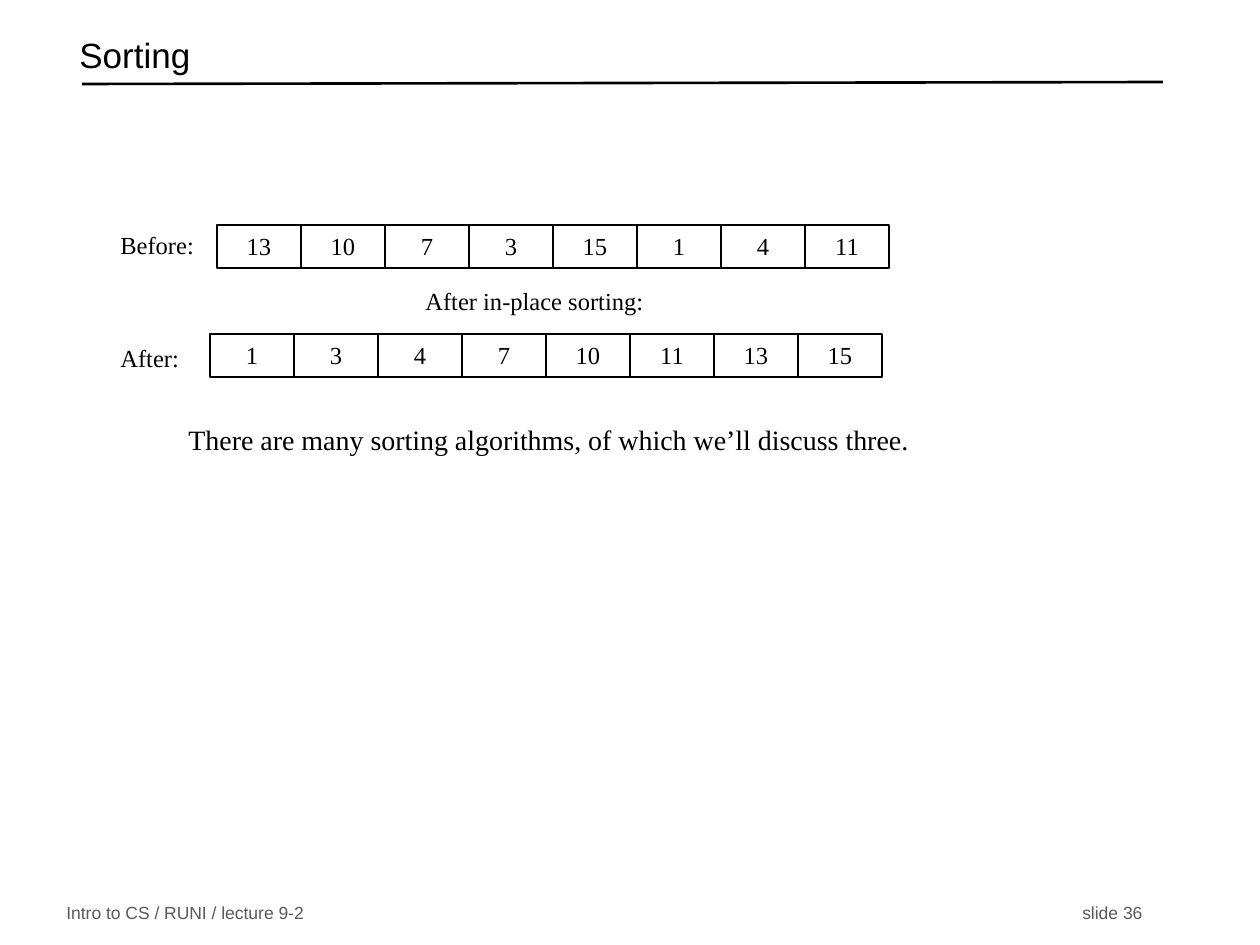
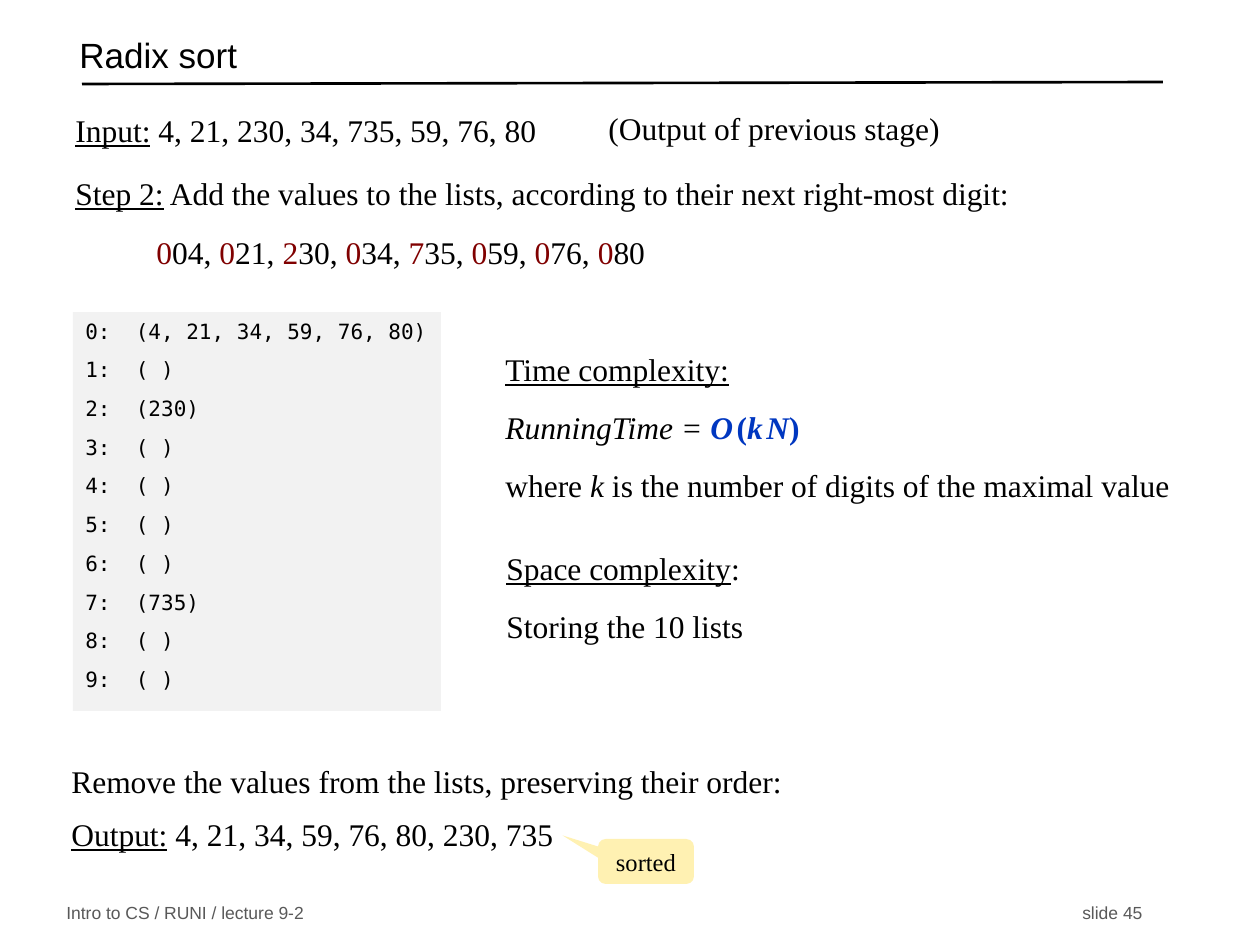
"""Build two lecture slides on sorting."""
import lxml.etree
import pptx
import pptx.dml.color
import pptx.enum.shapes
import pptx.enum.text
import pptx.oxml.ns
import pptx.util

SCALE = 914400 / 126
THEME = {
    "ink": "000000", "gray": "595959", "red": "800000", "blue": "0037C0",
    "panel": "F2F2F2", "note": "FFF1B2",
    "serif": "Times New Roman", "sans": "Arial", "mono": "DejaVu Sans Mono",
    "title": 20, "body": 18, "text": 16, "cell": 14, "code": 12, "foot": 10, "thin": 8,
}
STYLES = {
    "": {},
    "under": {"underline": True},
    "slant": {"italic": True},
    "red": {"color": "red"},
    "sign": {"bold": True, "color": "blue"},
    "term": {"bold": True, "italic": True, "color": "blue"},
    "gap": {"bold": True, "italic": True, "color": "blue", "size": "thin"},
}
COURSE = "Intro to CS / RUNI / lecture 9-2"
ROWS = [
    (217, 225, [13, 10, 7, 3, 15, 1, 4, 11]),
    (210, 334, [1, 3, 4, 7, 10, 11, 13, 15]),
]
LABELS = [
    ((108, 224, 136, 42), "cell", ["Before:"]),
    ((108, 337, 136, 42), "cell", ["After:"]),
    ((413, 280, 340, 43), "cell", ["After in-place sorting:"]),
    ((176, 416, 785, 183), "text",
     ["There are many sorting algorithms, of which we’ll discuss three."]),
]
PADDED = ["004", "021", "230", "034", "735", "059", "076", "080"]
DIGITS = [part for i, num in enumerate(PADDED)
          for part in ((num[0], "red"), (num[1:] + ", " * (i < len(PADDED) - 1), ""))]
BODY = [
    ((63, 105, 536, 63), "body", [[("Input:", "under"), (" 4, 21, 230, 34, 735, 59, 76, 80", "")]]),
    ((596, 103, 536, 63), "body", ["(Output of previous stage)"]),
    ((63, 168, 1134, 63), "body", [[
        ("Step 2:", "under"),
        (" Add the values to the lists, according to their next right-most digit:", "")]]),
    ((144, 227, 609, 63), "body", [DIGITS]),
    ((493, 344, 741, 199), "body", [
        [("Time complexity:", "under")],
        [("RunningTime = ", "slant"), ("O", "term"), (" ", "gap"), ("(", "sign"),
         ("k", "term"), (" ", "gap"), ("N", "term"), (")", "sign")],
        [("where ", ""), ("k", "slant"),
         (" is the number of digits of the maximal value", "")]]),
    ((494, 543, 741, 199), "body", [
        [("Space complexity", "under"), (":", "")], "Storing the 10 lists"]),
    ((59, 756, 819, 63), "body", ["Remove the values from the lists, preserving their order:"]),
    ((59, 809, 518, 63), "body", [[("Output:", "under"), (" 4, 21, 34, 59, 76, 80, 230, 735", "")]]),
]
LISTS = ["4, 21, 34, 59, 76, 80", " ", "230", " ", " ", " ", " ", "735", " ", " "]


def px(num):
    """Turn px into EMU."""
    return round(num * SCALE)


def tint(name):
    """Give the theme colour by name."""
    return pptx.dml.color.RGBColor.from_string(THEME[name])


def assign(item, values):
    """Set attributes from a dict."""
    for name, value in values.items():
        setattr(item, name, value)


def write(shape, paras, size, face="serif", color="ink", align="LEFT", anchor="TOP", hang=0, line=None):
    """Fill a shape with styled paragraphs."""
    frame = shape.text_frame
    assign(frame, {"word_wrap": True,
                   "vertical_anchor": getattr(pptx.enum.text.MSO_ANCHOR, anchor)})
    for i, runs in enumerate(paras):
        para = frame.paragraphs[0] if i == 0 else frame.add_paragraph()
        form = {"alignment": getattr(pptx.enum.text.PP_ALIGN, align)}
        if line:
            form["line_spacing"] = line
        if i:
            form["space_before"] = pptx.util.Pt(round(THEME[size] * 0.64, 1))
        assign(para, form)
        if hang:
            props = para._p.get_or_add_pPr()
            props.set("marL", str(px(hang)))
            props.set("indent", str(-px(hang)))
        for text, style in [(runs, "")] if isinstance(runs, str) else runs:
            run = para.add_run()
            run.text = text
            look = {"size": size, "color": color, **STYLES[style]}
            run.font.color.rgb = tint(look.pop("color"))
            look["size"] = pptx.util.Pt(THEME[look["size"]])
            assign(run.font, {"name": THEME[face], **look})


def label(slide, box, paras, size, **form):
    """Add a text box."""
    shape = slide.shapes.add_textbox(*map(px, box))
    write(shape, paras, size, **form)
    return shape


def block(slide, kind, box, fill=None, edge=None):
    """Add a plain preset shape."""
    shape = slide.shapes.add_shape(getattr(pptx.enum.shapes.MSO_SHAPE, kind), *map(px, box))
    shape.shadow.inherit = False
    for part, color in ((shape.fill, fill), (shape.line.fill, edge)):
        if color:
            part.solid()
            part.fore_color.rgb = tint(color)
        else:
            part.background()
    if edge:
        shape.line.width = pptx.util.Pt(0.75)
    return shape


def start(deck, title, page):
    """Add a slide with title, rule and footer."""
    slide = deck.slides.add_slide(deck.slide_layouts[6])
    rule = slide.shapes.add_connector(
        pptx.enum.shapes.MSO_CONNECTOR.STRAIGHT, *map(px, (82, 84, 1163, 82)))
    rule.line.color.rgb = tint("ink")
    rule.line.width = pptx.util.Pt(1.5)
    qn = pptx.oxml.ns.qn
    lxml.etree.SubElement(rule._element.spPr, qn("a:effectLst"))
    foot = label(slide, (54, 900, 1110, 26), [f"{COURSE}\tslide {page}"], "foot",
                 face="sans", color="gray", anchor="MIDDLE")
    props = foot.text_frame.paragraphs[0]._p.get_or_add_pPr()
    tabs = lxml.etree.SubElement(props, qn("a:tabLst"))
    lxml.etree.SubElement(tabs, qn("a:tab"), pos=str(px(1076)), algn="r")
    label(slide, (67, 28, 1084, 63), [title], "title", face="sans", anchor="MIDDLE", line=0.7)
    return slide


def sorting(deck):
    """Draw the before and after rows."""
    slide = start(deck, "Sorting", 36)
    for left, top, nums in ROWS:
        for i, num in enumerate(nums):
            cell = block(slide, "RECTANGLE", (left + 84 * i, top, 84, 43), edge="ink")
            write(cell, [str(num)], "cell", align="CENTER")
    for box, size, paras in LABELS:
        label(slide, box, paras, size)


def radix(deck):
    """Draw the second radix step."""
    slide = start(deck, "Radix sort", 45)
    panel = block(slide, "RECTANGLE", (73, 312, 368, 399), fill="panel")
    write(panel, [f"{i}:  ({nums})" for i, nums in enumerate(LISTS)], "code", face="mono", hang=48)
    for box, size, paras in BODY:
        label(slide, box, paras, size, hang=48)
    note = block(slide, "ROUNDED_RECTANGULAR_CALLOUT", (598, 839, 96, 45), fill="note")
    for i, value in enumerate((-0.87, -0.58, 0.17)):
        note.adjustments[i] = value
    write(note, ["sorted"], "cell", align="CENTER", anchor="MIDDLE")


def main():
    """Build and save the deck."""
    deck = pptx.Presentation()
    assign(deck, {"slide_width": px(1260), "slide_height": px(945)})
    sorting(deck)
    radix(deck)
    deck.save("out.pptx")


if __name__ == "__main__":
    main()
